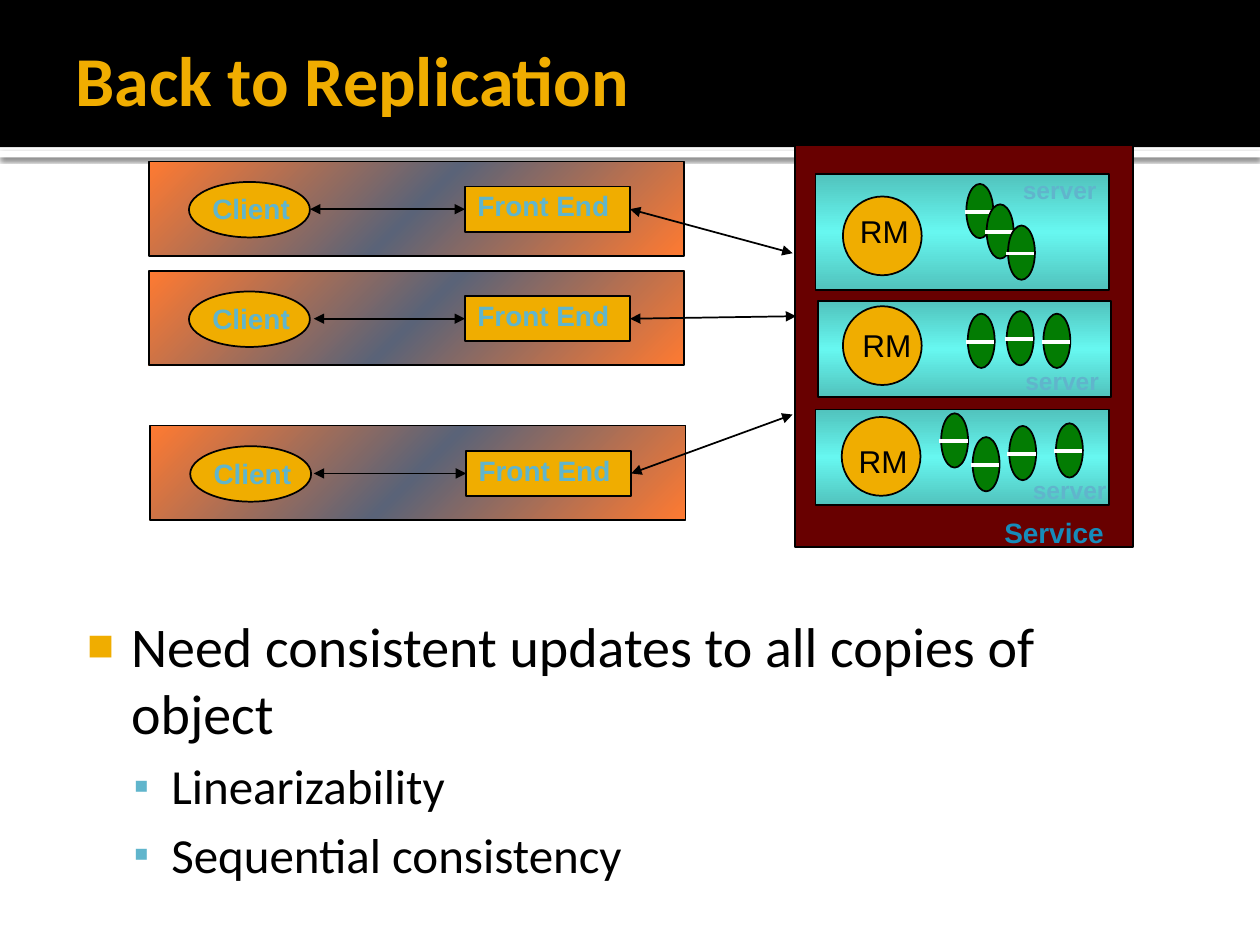
from copy import deepcopy

from lxml import etree
from pptx import Presentation
from pptx.dml.color import RGBColor
from pptx.enum import shapes as kinds, text as txt
from pptx.oxml.ns import qn
from pptx.util import Pt

BLACK = RGBColor(0x00, 0x00, 0x00)
WHITE = RGBColor(0xFF, 0xFF, 0xFF)
AMBER = RGBColor(0xF0, 0xAD, 0x00)
SKY = RGBColor(0x60, 0xB5, 0xCC)
BLUE = RGBColor(0x16, 0x8B, 0xBA)
MAROON = RGBColor(0x68, 0x00, 0x00)
GREEN = RGBColor(0x03, 0x7C, 0x03)
TEAL_BLEND = [RGBColor(0x51, 0xC3, 0xBD), RGBColor(0x67, 0xF7, 0xF0), RGBColor(0x51, 0xC3, 0xBD)]
EMBER_BLEND = [RGBColor(0xFF, 0x7A, 0x31), RGBColor(0x5A, 0x63, 0x78), RGBColor(0xFF, 0x7A, 0x31)]

RECT = kinds.MSO_SHAPE.RECTANGLE
OVAL = kinds.MSO_SHAPE.OVAL
LEFT_SIDE, RIGHT_SIDE = 1, 3

# Row corner, x where the client arrow starts, point where the service is reached
CLIENT_ROWS = [
    ((85, 92.2), 177.1, (452.9, 144.7)),
    ((85, 154.8), 179.3, (455, 180.7)),
    ((85.7, 243.2), 179.3, (452.9, 236.9)),
]
# Server box, manager circle, manager label, server label, replicas
SERVERS = [
    ((466, 99.4, 167.8, 66.2), (481.7, 112.3), (478.8, 120.2), (574.6, 98.6),
     [(552.2, 105.1), (563.8, 116.8), (576, 128.9)]),
    ((467.3, 172.1, 167.8, 54.7), (481.7, 175), (480.2, 185), (576, 207.4),
     [(553, 179.3), (575.3, 177.8), (596.2, 179.3)]),
    ((466, 234, 167.8, 54.7), (481, 238.3), (478.1, 251.3), (580.3, 270),
     [(537.8, 236.2), (555.8, 249.8), (576.7, 243.4), (603.4, 241.9)]),
]


def pts(*values):
    return [Pt(value) for value in values]


def add_block(parent, preset, box, fill, outline=BLACK):
    block = parent.shapes.add_shape(preset, *pts(*box))
    block.shadow.inherit = False
    block.fill.solid()
    block.fill.fore_color.rgb = fill
    if outline is None:
        block.line.fill.background()
    else:
        block.line.color.rgb = outline
        block.line.width = Pt(1)
    return block


def add_blended_rect(slide, box, blend, angle):
    """Outlined rectangle with a three-colour linear gradient."""
    block = add_block(slide, RECT, box, blend[0])
    block.fill.gradient()
    block.fill.gradient_angle = angle
    stop_list = block._element.spPr.find(".//" + qn("a:gsLst"))
    stop_list.insert(1, deepcopy(stop_list[0]))
    for stop, color, position in zip(block.fill.gradient_stops, blend, (0, 0.5, 1)):
        stop.color.rgb = color
        stop.position = position


def write(paragraph, words, size, color, font="Arial", bold=False):
    run = paragraph.add_run()
    run.text = words
    run.font.size = Pt(size)
    run.font.name = font
    run.font.bold = bold
    run.font.color.rgb = color


def write_label(holder, words, size, color, bold=True, align=txt.PP_ALIGN.CENTER):
    frame = holder.text_frame
    frame.word_wrap = True
    frame.vertical_anchor = txt.MSO_ANCHOR.TOP
    paragraph = frame.paragraphs[0]
    paragraph.alignment = align
    paragraph.line_spacing = 0.9
    write(paragraph, words, size, color, bold=bold)


def add_label(slide, box, *style, **options):
    write_label(slide.shapes.add_textbox(*pts(*box)), *style, **options)


def add_line(parent, start, end, color, width):
    line = parent.shapes.add_connector(kinds.MSO_CONNECTOR.STRAIGHT, *pts(*start, *end))
    line.line.color.rgb = color
    line.line.width = Pt(width)
    etree.SubElement(line._element.spPr, qn("a:effectLst"))
    return line


def add_two_way_arrow(slide, start, end):
    arrow = add_line(slide, start, end, BLACK, 1)
    outline = arrow.line._get_or_add_ln()
    for tip in ("a:headEnd", "a:tailEnd"):
        etree.SubElement(outline, qn(tip), type="triangle")
    return arrow


def add_replica(slide, x, y):
    """Green copy of the object, crossed by a white bar."""
    replica = slide.shapes.add_group_shape()
    add_block(replica, OVAL, (x, y, 15.4, 31), GREEN)
    add_line(replica, (x - 1, y + 16), (x + 15.1, y + 16), WHITE, 2.25)


def add_client_row(slide, corner, arrow_x, service_point):
    x, y = corner
    add_blended_rect(slide, (x, y, 306, 54), EMBER_BLEND, 315)
    add_block(slide, OVAL, (x + 23, y + 11.8, 69.1, 31.7), AMBER)
    add_label(slide, (x + 24, y + 16.1, 69.1, 24.5), "Client", 16, SKY)
    front_end = add_block(slide, RECT, (x + 180.7, y + 14.4, 94.3, 25.9), AMBER)
    write_label(front_end, "Front End", 16, SKY, align=txt.PP_ALIGN.LEFT)
    middle = y + 27.35
    client_link = add_two_way_arrow(slide, (arrow_x, middle), (x + 180.7, middle))
    client_link.end_connect(front_end, LEFT_SIDE)
    service_link = add_two_way_arrow(slide, (x + 275, middle), service_point)
    service_link.begin_connect(front_end, RIGHT_SIDE)


def add_server(slide, box, manager, manager_label, server_label, replicas):
    add_blended_rect(slide, box, TEAL_BLEND, 270)
    add_block(slide, OVAL, (*manager, 45, 45), AMBER)
    add_label(slide, (*manager_label, 53.3, 26.6), "RM", 18, BLACK, bold=False)
    for corner in replicas:
        add_replica(slide, *corner)
    add_label(slide, (*server_label, 61.9, 22.3), "server", 14, SKY)


def add_header(slide):
    rule = add_block(slide, RECT, (0, 86.4, 720, 3.6), WHITE, None)
    effects = rule._element.spPr.find(qn("a:effectLst"))
    shadow = etree.SubElement(effects, qn("a:outerShdw"), blurRad=str(Pt(2.5)),
                              dist=str(Pt(0.8)), dir="5400000", rotWithShape="0")
    shade = etree.SubElement(shadow, qn("a:srgbClr"), val=str(BLACK))
    etree.SubElement(shade, qn("a:alpha"), val="60000")
    add_block(slide, RECT, (0, 0, 720, 84.2), BLACK, None)


def place(placeholder, box, insets, anchor):
    """Move a placeholder to the front and set its frame."""
    placeholder._element.getparent().append(placeholder._element)
    placeholder.left, placeholder.top, placeholder.width, placeholder.height = pts(*box)
    frame = placeholder.text_frame
    frame.margin_left, frame.margin_top, frame.margin_right, frame.margin_bottom = pts(*insets)
    frame.vertical_anchor = anchor
    frame.word_wrap = True
    frame.auto_size = txt.MSO_AUTO_SIZE.NONE
    return frame


def set_bullet(paragraph, char, color, percent, margin, hanging):
    props = paragraph._p.get_or_add_pPr()
    props.set("marL", str(Pt(margin)))
    props.set("indent", str(-Pt(hanging)))
    tint = etree.SubElement(props, qn("a:buClr"))
    etree.SubElement(tint, qn("a:srgbClr"), val=str(color))
    etree.SubElement(props, qn("a:buSzPct"), val=str(percent * 1000))
    etree.SubElement(props, qn("a:buFont"), typeface="Arial")
    etree.SubElement(props, qn("a:buChar"), char=char)


def fill_title(slide):
    frame = place(slide.shapes.title, (36, 5.8, 648, 77.8), (7.2, 3.6, 3.6, 3.6),
                  txt.MSO_ANCHOR.MIDDLE)
    frame.paragraphs[0].alignment = txt.PP_ALIGN.LEFT
    write(frame.paragraphs[0], "Back to Replication", 40, AMBER, "Calibri", True)


def fill_body(slide):
    frame = place(slide.placeholders[1], (36, 342, 648, 162), (4.3, 7.2, 7.2, 3.6),
                  txt.MSO_ANCHOR.TOP)
    need = frame.paragraphs[0]
    need.space_before = Pt(0)
    set_bullet(need, "■", AMBER, 80, 34.6, 25.2)
    write(need, "Need consistent updates to all copies of object", 32, BLACK, "Calibri")
    for model in ("Linearizability", "Sequential consistency"):
        item = frame.add_paragraph()
        item.level = 1
        item.space_before = Pt(5.6)
        set_bullet(item, "▪", SKY, 90, 57.6, 21.6)
        write(item, model, 28, BLACK, "Calibri")


def main():
    deck = Presentation()
    deck.slide_width, deck.slide_height = pts(720, 540)
    slide = deck.slides.add_slide(deck.slide_layouts[1])
    add_header(slide)
    fill_title(slide)
    fill_body(slide)
    add_block(slide, RECT, (454.3, 83, 193, 229.7), MAROON)
    add_label(slide, (563.8, 293, 77, 24.5), "Service", 16, BLUE)
    for server in SERVERS:
        add_server(slide, *server)
    for row in CLIENT_ROWS:
        add_client_row(slide, *row)
    deck.save("out.pptx")


if __name__ == "__main__":
    main()
